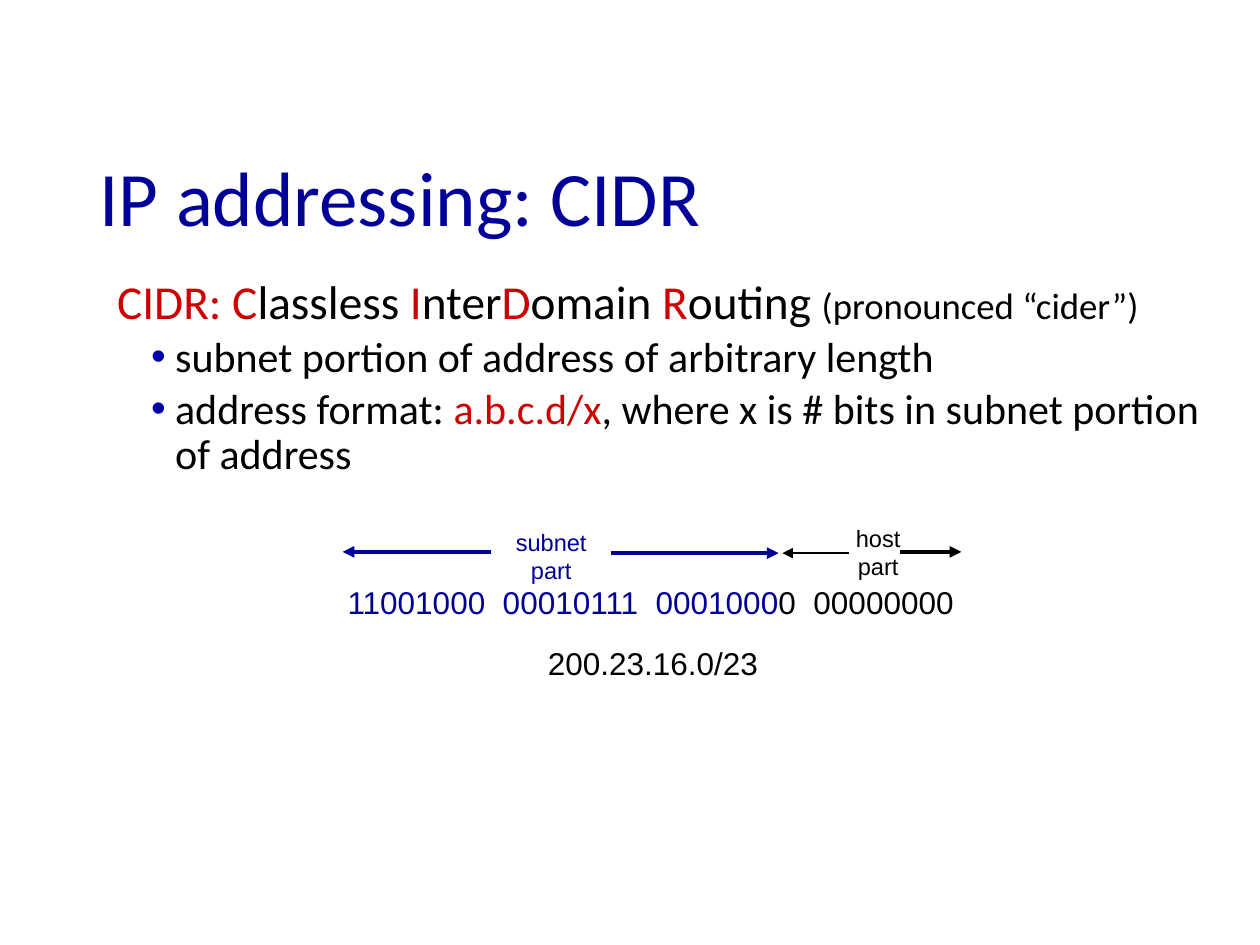
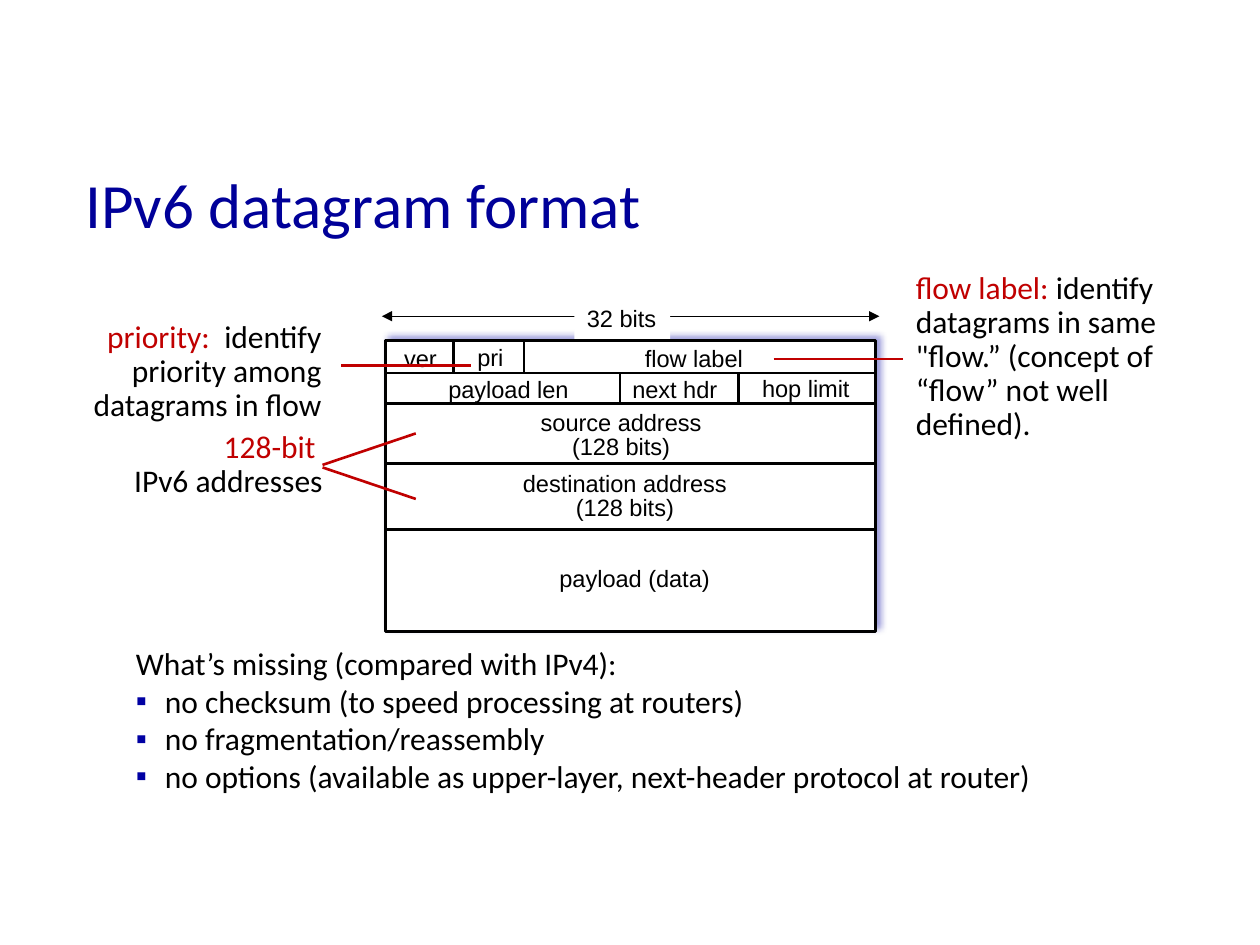
from lxml import etree
from pptx import Presentation
from pptx.dml.color import RGBColor
from pptx.enum.shapes import MSO_CONNECTOR, MSO_SHAPE
from pptx.enum.text import MSO_ANCHOR, MSO_AUTO_SIZE, PP_ALIGN
from pptx.oxml.ns import qn
from pptx.util import Inches, Pt

LEFT, MID, RIGHT = PP_ALIGN.LEFT, PP_ALIGN.CENTER, PP_ALIGN.RIGHT
GROW, FIXED = MSO_AUTO_SIZE.SHAPE_TO_FIT_TEXT, MSO_AUTO_SIZE.NONE
MIDDLE = MSO_ANCHOR.MIDDLE
TOP = MSO_ANCHOR.TOP
STRAIGHT = MSO_CONNECTOR.STRAIGHT
RECT = MSO_SHAPE.RECTANGLE

BODY, LABEL = "Calibri", "Arial"
BLACK, WHITE, NAVY = "000000", "FFFFFF", "000099"
RED, DARK_RED = "CC0000", "C00000"
DOT_BLUE, BOX_BLUE = "0000A8", "0000A3"


def color(code):
    """Turn a hex string into a colour."""
    return RGBColor.from_string(code)


def place(box):
    """Turn inches into lengths."""
    return [Inches(v) for v in box]


def add_xml(parent, tag, **attrs):
    """Append a drawing element with attributes."""
    return etree.SubElement(parent, qn(tag), {k: str(v) for k, v in attrs.items()})


def add_run(par, text, font, size, tint=BLACK):
    """Add one formatted run."""
    run = par.add_run()
    run.text = text
    run.font.name, run.font.size = font, Pt(size)
    run.font.color.rgb = color(tint)


def indent(par, left, first):
    """Set the left margin and first-line indent in inches."""
    props = par._p.get_or_add_pPr()
    props.set("marL", str(Inches(left)))
    props.set("indent", str(Inches(first)))


def bullet(par, char, tint):
    """Give a paragraph a coloured bullet."""
    props = par._p.get_or_add_pPr()
    add_xml(add_xml(props, "a:buClr"), "a:srgbClr", val=tint)
    add_xml(props, "a:buFont", typeface=LABEL)
    add_xml(props, "a:buChar", char=char)


def fill_text(frame, pars, font, size, align=LEFT, space=None, wrap=True):
    """Fill a frame; each paragraph is a list of (text, colour, size) runs."""
    frame.word_wrap, frame.auto_size = wrap, GROW
    frame.vertical_anchor = TOP
    for i, runs in enumerate(pars):
        par = frame.add_paragraph() if i else frame.paragraphs[0]
        par.alignment = align
        if space:
            par.line_spacing = space
        for text, tint, *own in runs:
            add_run(par, text, font, own[0] if own else size, tint)
    return frame


def add_text(slide, box, pars, font=BODY, size=18, **style):
    """Add a text box and return its frame."""
    frame = slide.shapes.add_textbox(*place(box)).text_frame
    return fill_text(frame, pars, font, size, **style)


def add_label(slide, box, text, tint=BLACK, size=13.5, **style):
    """Add a diagram label, one paragraph per line of text."""
    pars = [[(line, tint)] for line in text.split("\n")]
    return add_text(slide, box, pars, LABEL, size, wrap=False, **style)


def add_line(slide, start, end, tint=BLACK, width=1.5, head=False, tail=False):
    """Draw a straight line with optional arrowheads."""
    line = slide.shapes.add_connector(STRAIGHT, *place(start + end))
    line.line.color.rgb, line.line.width = color(tint), Pt(width)
    stroke = line.line._get_or_add_ln()
    if head:
        add_xml(stroke, "a:headEnd", type="triangle")
    if tail:
        add_xml(stroke, "a:tailEnd", type="triangle")
    add_xml(line._element.spPr, "a:effectLst")


def add_box(slide, box, edge=None):
    """Draw a white rectangle, outlined if an edge colour is given."""
    shape = slide.shapes.add_shape(RECT, *place(box))
    shape.shadow.inherit = False
    shape.fill.solid()
    shape.fill.fore_color.rgb = color(WHITE)
    if edge:
        shape.line.color.rgb, shape.line.width = color(edge), Pt(1.5)
    else:
        shape.line.fill.background()
    return shape


def add_glow(shape):
    """Give a shape a soft blue shadow to the upper right."""
    effects = shape._element.spPr.find(qn("a:effectLst"))
    shade = add_xml(effects, "a:outerShdw", blurRad=Pt(4), dist=Pt(3),
                    dir=315 * 60000, algn="bl", rotWithShape=0)
    tint = add_xml(shade, "a:srgbClr", val=BOX_BLUE)
    add_xml(tint, "a:alpha", val=40000)


def add_slide(deck, title, box, size):
    """Add a title-only slide with the shared title style."""
    slide = deck.slides.add_slide(deck.slide_layouts[5])
    shape = slide.shapes.title
    shape.left, shape.top, shape.width, shape.height = place(box)
    frame = shape.text_frame
    frame.auto_size, frame.vertical_anchor = FIXED, MIDDLE
    frame.paragraphs[0].alignment = LEFT
    add_run(frame.paragraphs[0], title, BODY, size, NAVY)
    return slide


def cidr_text(slide):
    """Write the definition of CIDR and its two points."""
    pars = [
        [("CIDR: C", RED), ("lassless ", BLACK), ("I", RED), ("nter", BLACK),
         ("D", RED), ("omain ", BLACK), ("R", RED), ("outing ", BLACK),
         ("(pronounced “cider”)", BLACK, 21)],
        [("subnet portion of address of arbitrary length", BLACK, 24)],
        [("address format: ", BLACK, 24), ("a.b.c.d/x", RED, 24),
         (", where x is # bits in subnet portion of address", BLACK, 24)],
    ]
    frame = add_text(slide, (0.75, 2.17, 9.1, 1.7), pars, size=27, space=0.9)
    frame.auto_size = FIXED
    frame.margin_left = frame.margin_right = Inches(0.07)
    frame.margin_top = frame.margin_bottom = Inches(0.04)
    first, *points = frame.paragraphs
    first.space_before = Pt(7.5)
    indent(first, 0.29, -0.18)
    for par in points:
        par.level, par.space_before = 1, Pt(3.8)
        indent(par, 0.57, -0.19)
        bullet(par, "•", DOT_BLUE)


def cidr_bits(slide):
    """Draw the address bits with their subnet and host spans."""
    bits = [("11001000  00010111  0001000", NAVY), ("0  00000000", BLACK)]
    add_text(slide, (2.66, 4.58, 5.05, 0.4), [bits], LABEL, wrap=False)
    add_label(slide, (3.99, 4.14, 0.77, 0.56), "subnet\npart", NAVY, align=MID)
    add_label(slide, (6.69, 4.11, 0.56, 0.56), "host\npart", align=MID)
    add_label(slide, (4.25, 5.06, 1.88, 0.4), "200.23.16.0/23", size=18)
    for start, end, y, tint, width in (
            (4.85, 6.18, 4.39, NAVY, 2.25), (3.9, 2.72, 4.38, NAVY, 2.25),
            (7.14, 7.63, 4.38, BLACK, 2.25), (6.74, 6.21, 4.39, BLACK, 1.5)):
        add_line(slide, (start, y), (end, y), tint, width, tail=True)


def datagram(slide):
    """Draw the header fields of the datagram."""
    left, top, wide, high = 3.06, 2.7, 3.89, 2.31
    rows = (2.96, 3.2, 3.68, 4.2)
    add_glow(add_box(slide, (left, top, wide, high), BLACK))
    for y in rows:
        add_line(slide, (left, y), (left + wide, y))
    for x, start, end in ((3.6, top, rows[0]), (4.16, top, rows[0]),
                          (4.92, rows[0], rows[1]), (5.86, rows[0], rows[1])):
        add_line(slide, (x, start), (x, end))
    for x, y, width, text in (
            (3.11, 2.68, 0.46, "ver"), (3.69, 2.67, 0.41, "pri"),
            (5.02, 2.68, 0.99, "flow label"), (3.46, 2.93, 1.17, "payload len"),
            (4.92, 2.93, 0.89, "next hdr"), (5.95, 2.92, 0.91, "hop limit"),
            (4.29, 4.43, 1.46, " payload (data)")):
        add_label(slide, (x, y, width, 0.33), text)
    for x, y, width, name in ((4.18, 3.22, 1.5, "source"),
                              (4.04, 3.71, 1.84, "destination")):
        add_label(slide, (x, y, width, 0.49), f"{name} address\n(128 bits)",
                  align=MID, space=0.85)
    add_line(slide, (3.03, 2.51), (6.98, 2.51), width=0.75, head=True, tail=True)
    span = add_box(slide, (4.56, 2.36, 0.76, 0.33))
    fill_text(span.text_frame, [[("32 bits", BLACK)]], LABEL, 13.5, wrap=False)


def callouts(slide):
    """Add the red notes and their pointers."""
    add_text(slide, (0.13, 2.5, 2.52, 0.92),
             [[("priority:  ", DARK_RED),
               ("identify priority among datagrams in flow", BLACK)]],
             align=RIGHT, space=0.9)
    add_text(slide, (7.17, 2.11, 2.66, 1.19),
             [[("flow label: ", DARK_RED),
               ("identify datagrams in same \"flow.” (concept of “flow” not "
                "well defined).", BLACK)]], space=0.9)
    add_text(slide, (0, 3.37, 2.66, 0.65),
             [[("128-bit ", DARK_RED)], [("IPv6 addresses", BLACK)]],
             align=RIGHT, space=0.9)
    for start, end in (((2.71, 2.9), (3.74, 2.9)), ((6.14, 2.85), (7.17, 2.85)),
                       ((2.56, 3.71), (3.3, 3.96)), ((2.56, 3.69), (3.3, 3.44))):
        add_line(slide, start, end, DARK_RED)


def missing(slide):
    """List what the format leaves out."""
    lines = ("What’s missing (compared with IPv4): ",
             "no checksum (to speed processing at routers)",
             "no fragmentation/reassembly",
             "no options (available as upper-layer, next-header protocol at router)")
    frame = add_text(slide, (0.98, 5.06, 7.36, 1.31),
                     [[(line, BLACK)] for line in lines])
    for par in frame.paragraphs[1:]:
        indent(par, 0.23, -0.23)
        bullet(par, "▪", BOX_BLUE)


def main():
    """Build both slides and save them."""
    deck = Presentation()
    deck.slide_width, deck.slide_height = Inches(10), Inches(7.5)
    cidr = add_slide(deck, "IP addressing: CIDR", (0.69, 1.19, 8.62, 0.73), 44)
    cidr_text(cidr)
    cidr_bits(cidr)
    ipv6 = add_slide(deck, "IPv6 datagram format", (0.58, 1.17, 8.62, 0.88), 36)
    datagram(ipv6)
    callouts(ipv6)
    missing(ipv6)
    deck.save("out.pptx")


main()
